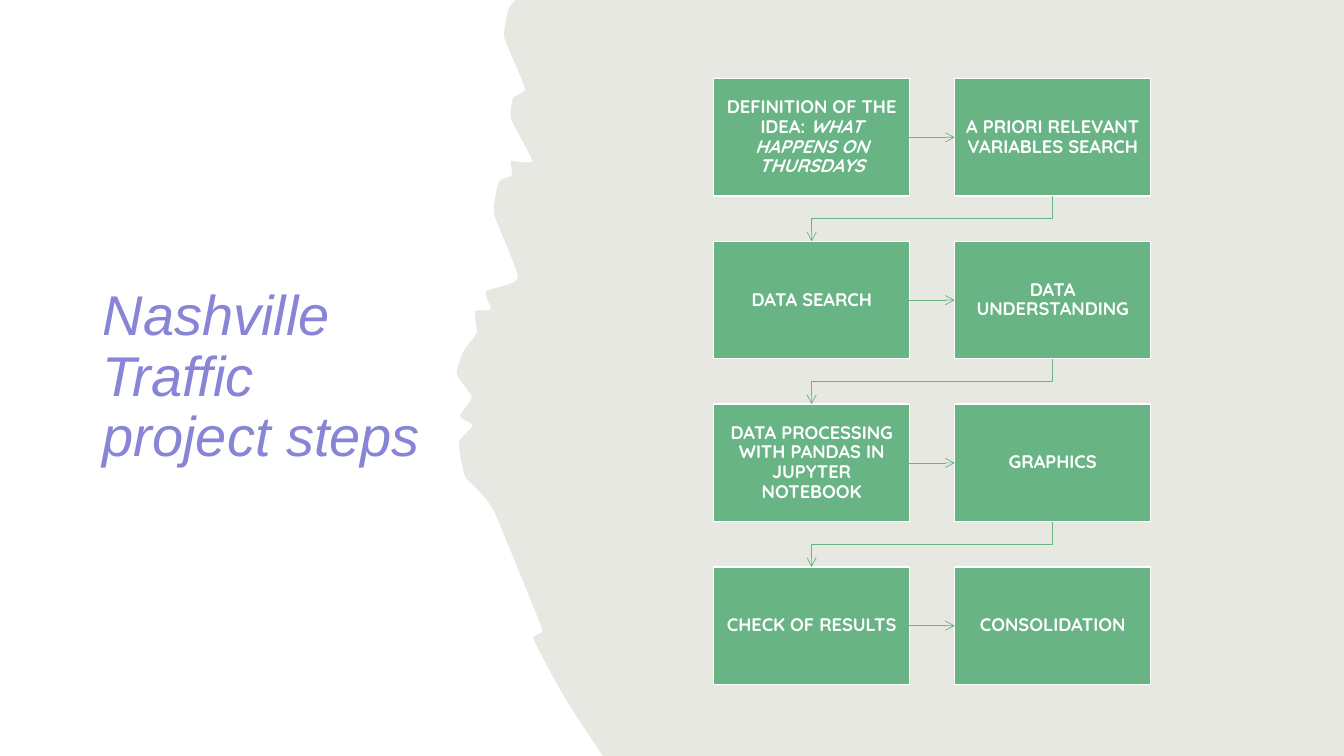
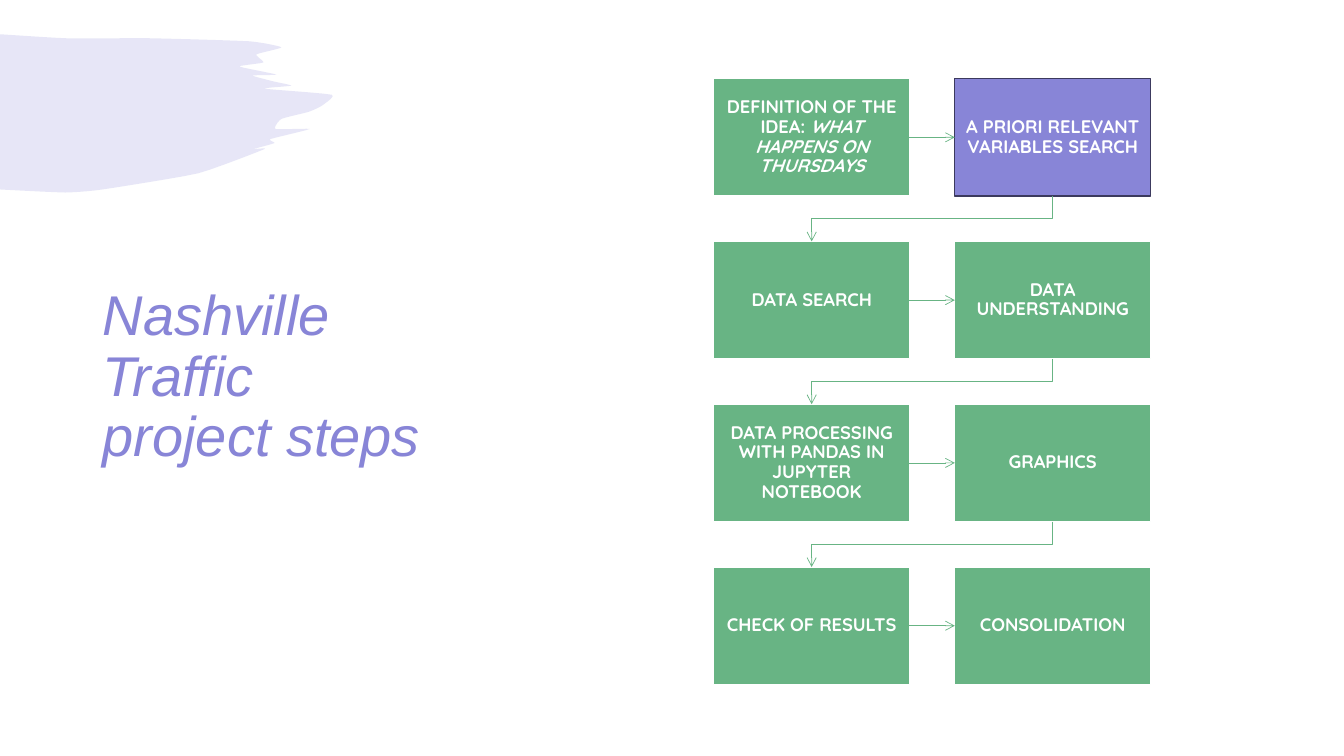
from dataclasses import dataclass

from lxml import etree
from pptx import Presentation
from pptx.dml.color import RGBColor
from pptx.enum import shapes, text
from pptx.oxml import ns
from pptx.util import Inches, Pt

WHITE = RGBColor(0xFF, 0xFF, 0xFF)
STONE = RGBColor(0xE8, 0xE8, 0xE2)
GREEN = RGBColor(0x68, 0xB4, 0x84)
VIOLET = RGBColor(0x88, 0x85, 0xD7)
INDIGO = RGBColor(0x3C, 0x3A, 0x5E)
TITLE_FONT = "Arial"
STEP_FONT = "Quicksand"

TITLE = "Nashville Traffic project steps"
STEPS = [
    ["DEFINITION OF THE IDEA: ", "WHAT HAPPENS ON THURSDAYS"],
    ["A PRIORI RELEVANT VARIABLES SEARCH"],
    ["DATA SEARCH"],
    ["DATA UNDERSTANDING"],
    ["DATA PROCESSING WITH PANDAS IN JUPYTER NOTEBOOK"],
    ["GRAPHICS"],
    ["CHECK OF RESULTS"],
    ["CONSOLIDATION"],
]
COLUMNS = 2
ROWS = len(STEPS) // COLUMNS
GAP = 0.45
CURVE_STEPS = 5
TENSION = 0.25


@dataclass
class Box:
    left: float
    top: float
    width: float
    height: float

    def emu(self):
        return [Inches(n) for n in (self.left, self.top, self.width, self.height)]


SLIDE = Box(0, 0, 13.33, 7.5)
TORN_BOX = Box(4.53, 0, 8.8, 7.5)
BRUSH_BOX = Box(0, 0.34, 3.3, 1.57)
TITLE_BOX = Box(0.92, 0.78, 3.5, 5.94)
FLOW_BOX = Box(7.08, 0.78, 4.33, 6.01)

TORN_EDGE = [
    (5.98, 7.5), (5.65, 7), (5.45, 6.65), (5.29, 6.33), (5.38, 6.26), (5.27, 5.97),
    (4.9, 5.07), (4.73, 4.85), (4.61, 4.72), (4.55, 4.39), (4.69, 4.22), (4.56, 4.13),
    (4.68, 3.94), (4.53, 3.71), (4.6, 3.48), (4.73, 3.3), (4.71, 3.09), (4.87, 3.07),
    (4.82, 2.89), (5.14, 2.76), (4.9, 2.12), (4.95, 1.8), (5.08, 1.74), (5.07, 1.6),
    (5.28, 1.6), (5.07, 1.18), (5.09, 0.97), (5.21, 0.89), (5.1, 0.61), (5, 0.36),
    (5.04, 0.1), (5.11, 0),
]
TORN_CORNERS = [(SLIDE.width, 0), (SLIDE.width, SLIDE.height)]
BRUSH_STROKE = [
    (0, 0.34), (0.66, 0.38), (1.5, 0.38), (2.48, 0.41), (2.8, 0.47), (2.55, 0.54),
    (2.62, 0.62), (2.38, 0.66), (2.75, 0.74), (2.51, 0.75), (2.73, 0.81), (2.9, 0.85),
    (2.63, 0.88), (3.3, 0.94), (3.2, 1.05), (3.07, 1.11), (2.8, 1.18), (2.74, 1.28),
    (3.08, 1.28), (2.69, 1.38), (2.73, 1.42), (2.52, 1.48), (2.63, 1.48), (1.97, 1.72),
    (1.02, 1.88), (0.65, 1.91), (0, 1.88),
]


def smooth(edge):
    padded = [edge[0], *edge, edge[-1]]
    points = [edge[0]]
    for before, start, end, after in zip(padded, padded[1:], padded[2:], padded[3:]):
        for step in range(1, CURVE_STEPS + 1):
            t = step / CURVE_STEPS
            blend = t * t * (3 - 2 * t)
            leave, arrive = t * (1 - t) ** 2, t * t * (t - 1)
            points.append(tuple(
                b + (c - b) * blend + TENSION * ((c - a) * leave + (d - b) * arrive)
                for a, b, c, d in zip(before, start, end, after)))
    return points


def add_outline(slide, points, box, color, opacity=100):
    xs, ys = zip(*points)
    x_scale = box.width / (max(xs) - min(xs))
    y_scale = box.height / (max(ys) - min(ys))
    placed = [(Inches(box.left + (x - min(xs)) * x_scale),
               Inches(box.top + (y - min(ys)) * y_scale)) for x, y in points]
    builder = slide.shapes.build_freeform(*placed[0])
    builder.add_line_segments(placed[1:], close=True)
    patch = builder.convert_to_shape()
    patch.shadow.inherit = False
    patch.line.fill.background()
    patch.fill.solid()
    patch.fill.fore_color.rgb = color
    if opacity < 100:
        tint = patch._element.spPr.find(".//" + ns.qn("a:srgbClr"))
        etree.SubElement(tint, ns.qn("a:alpha")).set("val", str(opacity * 1000))


def add_title(slide, box):
    frame = slide.shapes.add_textbox(*box.emu()).text_frame
    frame.word_wrap = True
    frame.vertical_anchor = text.MSO_ANCHOR.MIDDLE
    frame.text = TITLE
    heading = frame.paragraphs[0]
    heading.line_spacing = 0.9
    heading.font.name = TITLE_FONT
    heading.font.size = Pt(40)
    heading.font.italic = True
    heading.font.color.rgb = VIOLET


def add_step(slide, box, parts, fill, border):
    step = slide.shapes.add_shape(shapes.MSO_SHAPE.RECTANGLE, *box.emu())
    step.shadow.inherit = False
    step.fill.solid()
    step.fill.fore_color.rgb = fill
    step.line.color.rgb = border
    step.line.width = Pt(1)
    frame = step.text_frame
    frame.word_wrap = True
    frame.vertical_anchor = text.MSO_ANCHOR.MIDDLE
    frame.margin_left = frame.margin_right = Inches(0.1)
    frame.margin_top = frame.margin_bottom = Inches(0.1)
    label = frame.paragraphs[0]
    label.alignment = text.PP_ALIGN.CENTER
    label.line_spacing = 0.9
    for order, part in enumerate(parts):
        run = label.add_run()
        run.text = part
        run.font.name = STEP_FONT
        run.font.size = Pt(13)
        run.font.bold = True
        run.font.italic = order > 0
        run.font.color.rgb = WHITE
    return step


def add_arrow(slide, kind, source, source_side, target, target_side):
    arrow = slide.shapes.add_connector(kind, 0, 0, 0, 0)
    arrow.begin_connect(source, source_side)
    arrow.end_connect(target, target_side)
    arrow.line.color.rgb = GREEN
    arrow.line.width = Pt(0.5)
    outline = arrow._element.spPr.find(ns.qn("a:ln"))
    etree.SubElement(outline, ns.qn("a:tailEnd")).set("type", "arrow")
    etree.SubElement(arrow._element.spPr, ns.qn("a:effectLst"))
    return arrow


def add_return_arrow(slide, source, target):
    arrow = add_arrow(slide, shapes.MSO_CONNECTOR.ELBOW, source, 2, target, 0)
    center_x = (arrow.begin_x + arrow.end_x) // 2
    center_y = (arrow.begin_y + arrow.end_y) // 2
    half_drop = abs(arrow.end_y - arrow.begin_y) // 2
    half_run = abs(arrow.end_x - arrow.begin_x) // 2
    arrow.begin_x, arrow.end_x = center_x - half_drop, center_x + half_drop
    arrow.begin_y, arrow.end_y = center_y - half_run, center_y + half_run
    arrow._element.spPr.find(ns.qn("a:xfrm")).set("rot", "5400000")


def add_flow(slide, box, current=None):
    width = (box.width - GAP * (COLUMNS - 1)) / COLUMNS
    height = (box.height - GAP * (ROWS - 1)) / ROWS
    steps = []
    for order, parts in enumerate(STEPS):
        row, column = divmod(order, COLUMNS)
        cell = Box(box.left + column * (width + GAP), box.top + row * (height + GAP),
                   width, height)
        fill, border = (VIOLET, INDIGO) if order == current else (GREEN, WHITE)
        steps.append(add_step(slide, cell, parts, fill, border))
    for order, (source, target) in enumerate(zip(steps, steps[1:]), 1):
        if order % COLUMNS:
            add_arrow(slide, shapes.MSO_CONNECTOR.STRAIGHT, source, 3, target, 1)
        else:
            add_return_arrow(slide, source, target)


def add_steps_slide(deck, points, points_box, color, opacity=100, current=None):
    slide = deck.slides.add_slide(deck.slide_layouts[6])
    slide.background.fill.solid()
    slide.background.fill.fore_color.rgb = WHITE
    add_outline(slide, points, points_box, color, opacity)
    add_title(slide, TITLE_BOX)
    add_flow(slide, FLOW_BOX, current)


def main():
    deck = Presentation()
    deck.slide_width = Inches(SLIDE.width)
    deck.slide_height = Inches(SLIDE.height)
    add_steps_slide(deck, smooth(TORN_EDGE) + TORN_CORNERS, TORN_BOX, STONE)
    add_steps_slide(deck, smooth(BRUSH_STROKE), BRUSH_BOX, VIOLET, opacity=20, current=1)
    deck.save("out.pptx")


if __name__ == "__main__":
    main()
